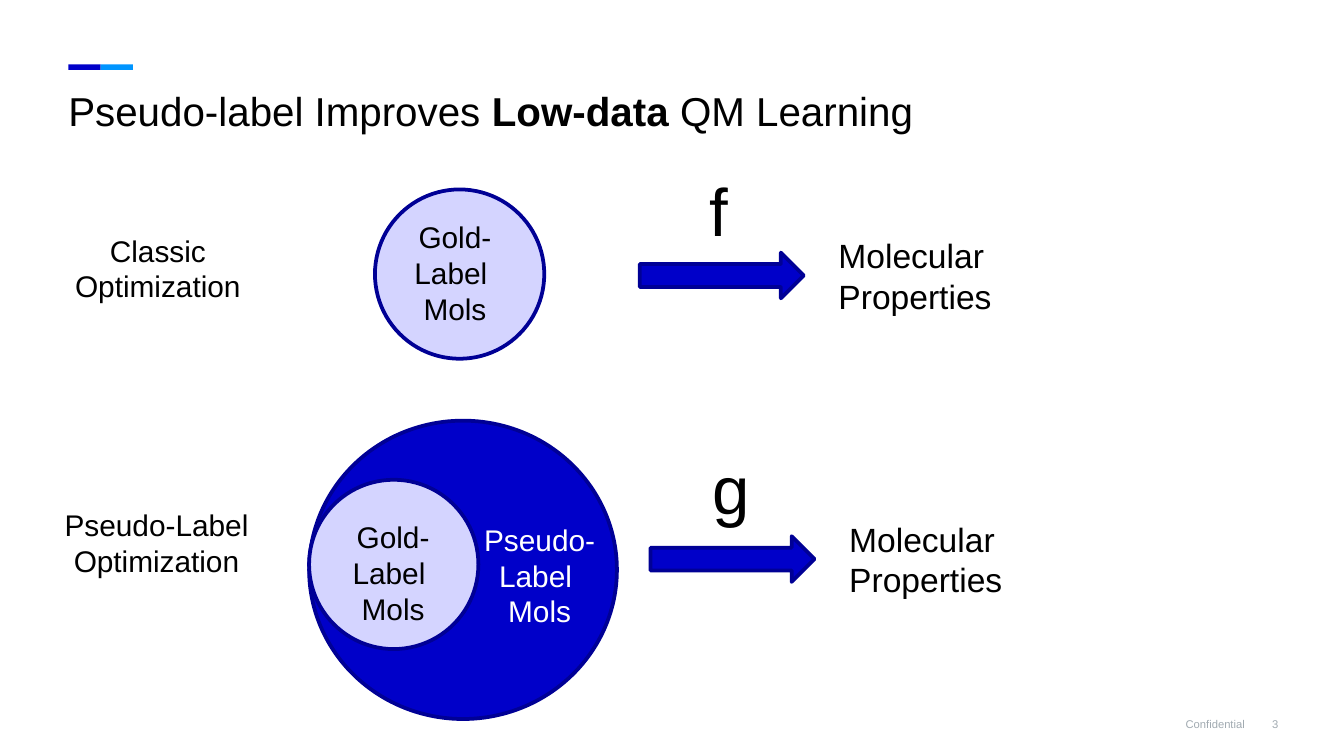
from pptx import Presentation
from pptx.dml.color import RGBColor
from pptx.enum import shapes, text
from pptx.util import Inches, Pt

BLUE = RGBColor(0x00, 0x00, 0xC9)
SKY = RGBColor(0x00, 0x95, 0xFF)
NAVY = RGBColor(0x00, 0x00, 0x95)
LILAC = RGBColor(0xD4, 0xD4, 0xFF)
GRAY = RGBColor(0xA1, 0xAA, 0xB1)
BLACK = RGBColor(0, 0, 0)
WHITE = RGBColor(0xFF, 0xFF, 0xFF)

SHAPE = shapes.MSO_SHAPE
ALIGN = text.PP_ALIGN
GOLD = ["Gold-", "Label ", "Mols"]


def add_text(s, box, lines, size, color=BLACK, align=ALIGN.LEFT, inset=0.05,
             anchor=text.MSO_ANCHOR.TOP):
    """Add a text box; each line is a list of (text, bold) runs or a string."""
    tf = s.shapes.add_textbox(*map(Inches, box)).text_frame
    tf.word_wrap = True
    tf.vertical_anchor = anchor
    tf.margin_top = tf.margin_bottom = Inches(inset)
    tf.margin_left = tf.margin_right = Inches(0.1)
    for i, line in enumerate(lines):
        p = tf.paragraphs[0] if i == 0 else tf.add_paragraph()
        p.alignment = align
        p.font.name = "Arial"
        p.font.size = Pt(size)
        p.font.color.rgb = color
        for words, bold in [(line, False)] if isinstance(line, str) else line:
            r = p.add_run()
            r.text = words
            r.font.bold = bold


def add_filled(s, kind, box, fill, line=None):
    sp = s.shapes.add_shape(kind, *map(Inches, box))
    sp.shadow.inherit = False
    sp.fill.solid()
    sp.fill.fore_color.rgb = fill
    if line is None:
        sp.line.fill.background()
    else:
        sp.line.color.rgb = line
        sp.line.width = Pt(2)


def add_header(s, x, y):
    for i, color in enumerate((BLUE, SKY)):
        add_filled(s, SHAPE.RECTANGLE, (x + 0.1 + i * 0.24, y, 0.24, 0.04), color)
    title = [("Pseudo-label Improves ", False), ("Low-data ", True),
             ("QM Learning", False)]
    add_text(s, (x, y + 0.06, 7.65, 0.59), [title], 21.6, inset=0.1)


def add_footer(s, x, y):
    for words, box in (("3", (x + 0.74, y, 0.6, 0.43)),
                       ("Confidential", (x, y + 0.04, 1.09, 0.35))):
        add_text(s, box, [words], 6, GRAY, ALIGN.RIGHT, 0.1,
                 text.MSO_ANCHOR.MIDDLE)


def add_method_label(s, x, y, words):
    add_text(s, (x, y, 1.57, 0.64), [words], 16, align=ALIGN.CENTER)


def add_gold_set(s, x, y, dx, dy):
    """Draw the gold-label circle, its text shifted by (dx, dy)."""
    add_filled(s, SHAPE.OVAL, (x, y, 1.26, 1.26), LILAC, NAVY)
    add_text(s, (x + dx, y + dy, 1.39, 0.91), GOLD, 16, align=ALIGN.CENTER)


def add_pseudo_set(s, x, y):
    add_filled(s, SHAPE.OVAL, (x, y, 2.29, 2.22), BLUE, NAVY)
    add_text(s, (x + 1.02, y + 0.7, 1.39, 0.91), ["Pseudo-Label ", "Mols"],
             16, WHITE, ALIGN.CENTER)


def add_mapping(s, x, y, name, dx, dy):
    """Draw the arrow to the properties, its name shifted by (dx, dy)."""
    add_filled(s, SHAPE.RIGHT_ARROW, (x, y, 1.22, 0.34), BLUE, NAVY)
    add_text(s, (x + dx, y + dy, 1.22, 0.71), [name], 36)
    add_text(s, (x + 1.38, y - 0.18, 1.39, 0.71), ["Molecular Properties"], 18)


def main():
    prs = Presentation()
    prs.slide_width = Inches(10)
    prs.slide_height = prs.slide_width * 9 // 16
    s = prs.slides.add_slide(prs.slide_layouts[6])

    add_header(s, 0.41, 0.48)
    add_footer(s, 8.27, 5.17)

    add_method_label(s, 0.39, 1.68, "Classic Optimization")
    add_gold_set(s, 2.79, 1.41, -0.1, 0.17)
    add_mapping(s, 4.76, 1.88, "f", 0.42, -0.67)

    add_method_label(s, 0.38, 3.72, "Pseudo-Label Optimization")
    add_pseudo_set(s, 2.3, 3.13)
    add_gold_set(s, 2.3, 3.57, -0.07, 0.24)
    add_mapping(s, 4.84, 3.99, "g", 0.36, -0.71)

    prs.save("out.pptx")


if __name__ == "__main__":
    main()
